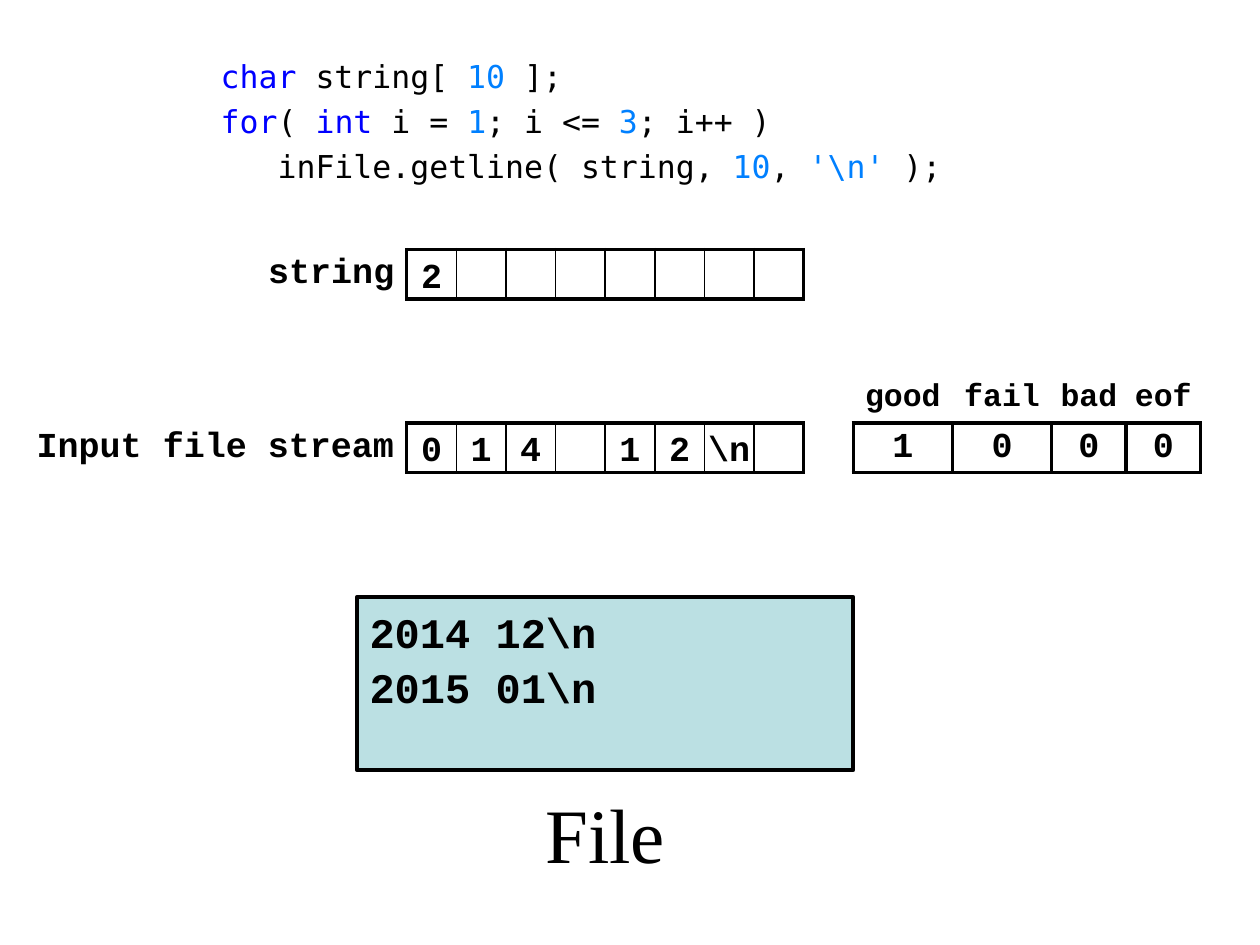
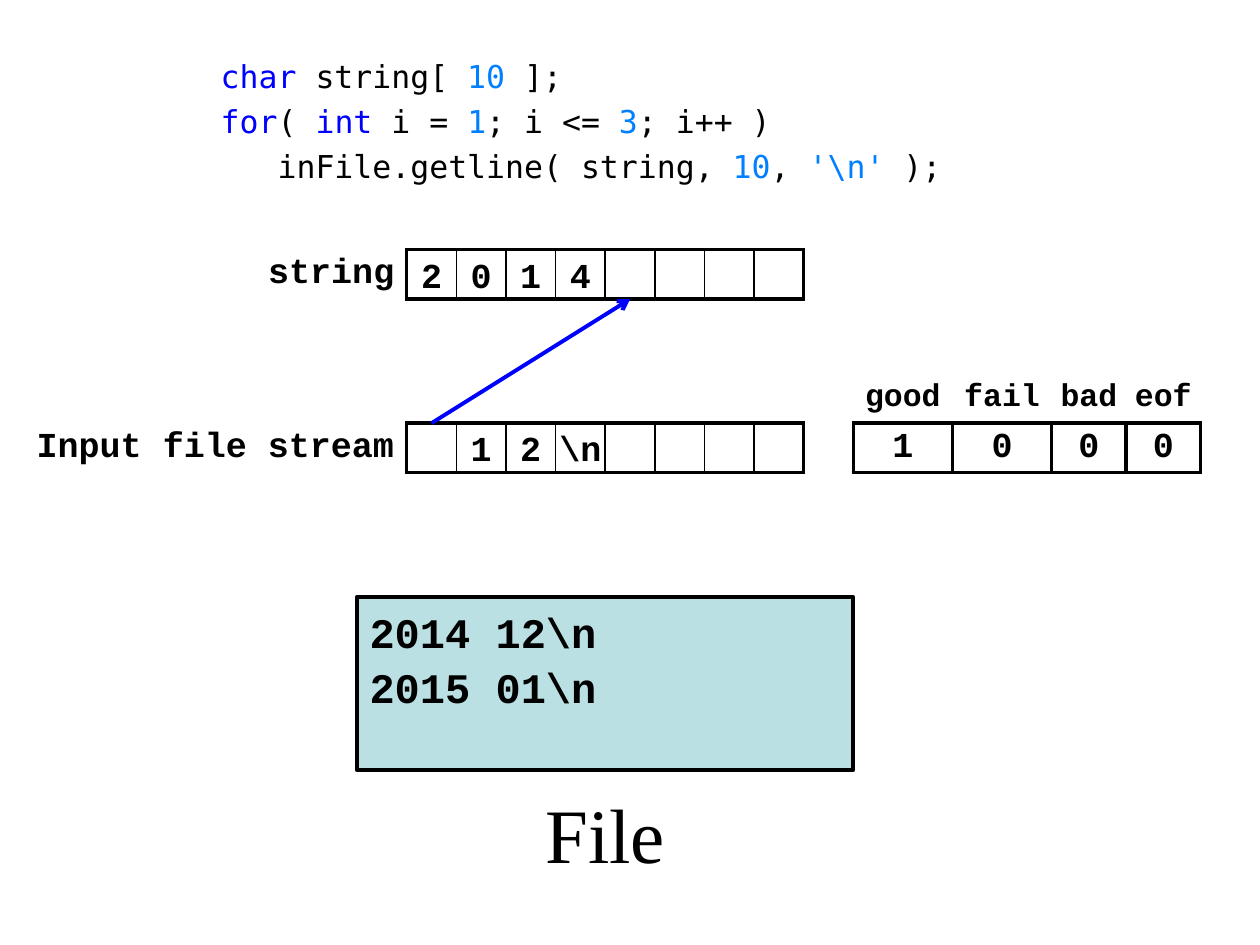
from pptx import Presentation
from pptx.dml.color import RGBColor
from pptx.enum.shapes import MSO_CONNECTOR as Link, MSO_SHAPE as Preset
from pptx.enum.text import MSO_ANCHOR as Anchor, PP_ALIGN as Align
from pptx.oxml.ns import qn
from pptx.util import Cm, Inches, Pt
from lxml.etree import SubElement

COLORS = {"ink": "000000", "keyword": "0000FF", "literal": "0080FF", "file": "BBE0E3"}
MONO, CODE, SERIF = "Courier New", "DejaVu Sans Mono", "Times New Roman"
HEAVY, LIGHT = 2.25, 1

# Grid of one-centimetre cells; the bands follow each other at an equal pitch
SLOTS = 8
LEFT, TOP, PITCH = 8.2, 5.03, 3.5
STRING_TOP, STREAM_TOP, FILE_TOP, CAPTION_TOP = (TOP + PITCH * i for i in range(4))
FLAGS = {"good": ("1", 2), "fail": ("0", 2), "bad": ("0", 1.5), "eof": ("0", 1.5)}

CODE_LINES = [
    (0, [("char", "keyword"), (" string[ ", "ink"), ("10", "literal"), (" ];", "ink")]),
    (0, [("for", "keyword"), ("( ", "ink"), ("int", "keyword"), (" i = ", "ink"),
         ("1", "literal"), ("; i <= ", "ink"), ("3", "literal"), ("; i++ )", "ink")]),
    (3, [("inFile.getline( string, ", "ink"), ("10", "literal"), (", ", "ink"),
         ("'\\n'", "literal"), (" );", "ink")]),
]
FILE_LINES = ["2014 12\\n", "2015 01\\n"]
STEPS = [
    {"string": ["2"], "stream": ["0", "1", "4", "", "1", "2", "\\n"], "move": None},
    {"string": ["2", "0", "1", "4"], "stream": ["", "1", "2", "\\n"], "move": (0, 4)},
]


def rgb(name):
    return RGBColor.from_string(COLORS[name])


def set_all(target, **values):
    for name, value in values.items():
        setattr(target, name, value)


def add_span(para, text, size, font=MONO, bold=True, color="ink"):
    span = para.add_run()
    span.text = text
    set_all(span.font, name=font, size=Pt(size), bold=bold)
    span.font.color.rgb = rgb(color)


def add_text(page, box, anchor=Anchor.TOP, margins=(0.25, 0.13, 0.25, 0.13), wrap=True):
    frame = page.shapes.add_textbox(*map(Cm, box)).text_frame
    left, top, right, bottom = map(Cm, margins)
    set_all(frame, word_wrap=wrap, vertical_anchor=anchor, margin_left=left,
            margin_top=top, margin_right=right, margin_bottom=bottom)
    return frame


def paragraphs(frame, items):
    """Pair each item with a paragraph, the first of which already exists."""
    for index, item in enumerate(items):
        yield (frame.add_paragraph() if index else frame.paragraphs[0]), item


def add_code(page, box):
    frame = add_text(page, box, margins=(0.25, 0.13, 0.1, 0.13))
    for para, (indent, spans) in paragraphs(frame, CODE_LINES):
        para.space_before = Pt(4)
        props = para._p.get_or_add_pPr()
        props.set("marL", str(Pt(10.84 * indent)))
        props.set("indent", "0")
        for text, color in spans:
            add_span(para, text, 18, CODE, False, color)


def outline(row, first, last, inner):
    """Edge widths of a framed run of cells, keyed by direction, row and column."""
    edges = {("v", row, col): inner for col in range(first + 1, last)}
    edges.update({("v", row, col): HEAVY for col in (first, last)})
    edges.update({("h", line, col): HEAVY
                  for line in (row, row + 1) for col in range(first, last)})
    return edges


def add_border(cell, side, width):
    line = SubElement(cell._tc.get_or_add_tcPr(), qn(f"a:ln{side}"), w=str(Pt(width or 0)))
    if width:
        fill = SubElement(line, qn("a:solidFill"))
        SubElement(fill, qn("a:srgbClr"), val=COLORS["ink"])
    else:
        SubElement(line, qn("a:noFill"))


def add_grid(page, left, top, widths, rows, edges, texts):
    """texts maps (row, column) to (text, size, alignment)."""
    table = page.shapes.add_table(rows, len(widths), Cm(left), Cm(top),
                                  Cm(sum(widths)), Cm(rows)).table
    set_all(table, first_row=False, horz_banding=False)
    for column, width in zip(table.columns, widths):
        column.width = Cm(width)
    for row in range(rows):
        table.rows[row].height = Cm(1)
        for col in range(len(widths)):
            cell = table.cell(row, col)
            set_all(cell, margin_left=0, margin_right=0, margin_top=0,
                    margin_bottom=0, vertical_anchor=Anchor.MIDDLE)
            for side, key in (("L", ("v", row, col)), ("R", ("v", row, col + 1)),
                              ("T", ("h", row, col)), ("B", ("h", row + 1, col))):
                add_border(cell, side, edges.get(key))
            cell.fill.background()
            if (row, col) in texts:
                text, size, align = texts[row, col]
                para = cell.text_frame.paragraphs[0]
                para.alignment = align
                add_span(para, text, size)
                if align == Align.RIGHT:
                    cell.margin_right = Cm(0.25)


def add_string_grid(page, label_width):
    add_grid(page, LEFT - label_width, STRING_TOP, [label_width] + [1] * SLOTS, 1,
             outline(0, 1, SLOTS + 1, LIGHT), {(0, 0): ("string", 20, Align.RIGHT)})


def add_stream_grid(page, label_width):
    first_flag = SLOTS + 2
    widths = [label_width] + [1] * (SLOTS + 1) + [width for _, width in FLAGS.values()]
    edges = {**outline(1, 1, SLOTS + 1, LIGHT),
             **outline(1, first_flag, len(widths), HEAVY)}
    texts = {(1, 0): ("Input file stream", 20, Align.RIGHT)}
    for col, (name, (value, _)) in enumerate(FLAGS.items(), first_flag):
        texts[0, col] = (name, 18, Align.CENTER)
        texts[1, col] = (value, 20, Align.CENTER)
    add_grid(page, LEFT - label_width, STREAM_TOP - 1, widths, 2, edges, texts)


def add_characters(page, top, characters):
    for slot, character in enumerate(characters):
        if character:
            frame = add_text(page, (LEFT + slot, top, 1, 1), Anchor.MIDDLE,
                             (0, 0.13, 0, 0.13))
            para = frame.paragraphs[0]
            set_all(para, alignment=Align.CENTER, space_before=Pt(4))
            add_span(para, character, 20)


def add_file(page, box):
    shape = page.shapes.add_shape(Preset.RECTANGLE, *map(Cm, box))
    shape.shadow.inherit = False
    shape.fill.solid()
    shape.fill.fore_color.rgb = rgb("file")
    shape.line.color.rgb = rgb("ink")
    shape.line.width = Pt(HEAVY)
    frame = shape.text_frame
    set_all(frame, word_wrap=True, vertical_anchor=Anchor.TOP, margin_top=Cm(0.2))
    for para, text in paragraphs(frame, FILE_LINES):
        set_all(para, alignment=Align.LEFT, space_before=Pt(2.5))
        add_span(para, text, 24)


def add_caption(page, box):
    para = add_text(page, box, Anchor.MIDDLE, wrap=False).paragraphs[0]
    para.alignment = Align.CENTER
    add_span(para, "File", 44, SERIF, False)


def add_move(page, source, target):
    """Arrow from a stream cell up to a string cell."""
    arrow = page.shapes.add_connector(
        Link.STRAIGHT, Cm(LEFT + source + 0.5), Cm(STREAM_TOP),
        Cm(LEFT + target + 0.5), Cm(STRING_TOP + 1))
    arrow.line.color.rgb = rgb("keyword")
    arrow.line.width = Pt(HEAVY)
    SubElement(arrow.line._get_or_add_ln(), qn("a:tailEnd"), type="arrow")
    SubElement(arrow._element.spPr, qn("a:effectLst"))


def add_step(deck, step):
    page = deck.slides.add_slide(deck.slide_layouts[6])
    add_caption(page, (LEFT + 2.5, CAPTION_TOP, 3, 2.5))
    add_code(page, (4.2, 1.02, 15, 3))
    add_stream_grid(page, 7.5)
    add_string_grid(page, 3)
    add_file(page, (LEFT - 1, FILE_TOP, SLOTS + 2, PITCH))
    add_characters(page, STRING_TOP, step["string"])
    add_characters(page, STREAM_TOP, step["stream"])
    if step["move"]:
        add_move(page, *step["move"])


deck = Presentation()
set_all(deck, slide_width=Inches(10), slide_height=Inches(7.5))
for step in STEPS:
    add_step(deck, step)
deck.save("out.pptx")
